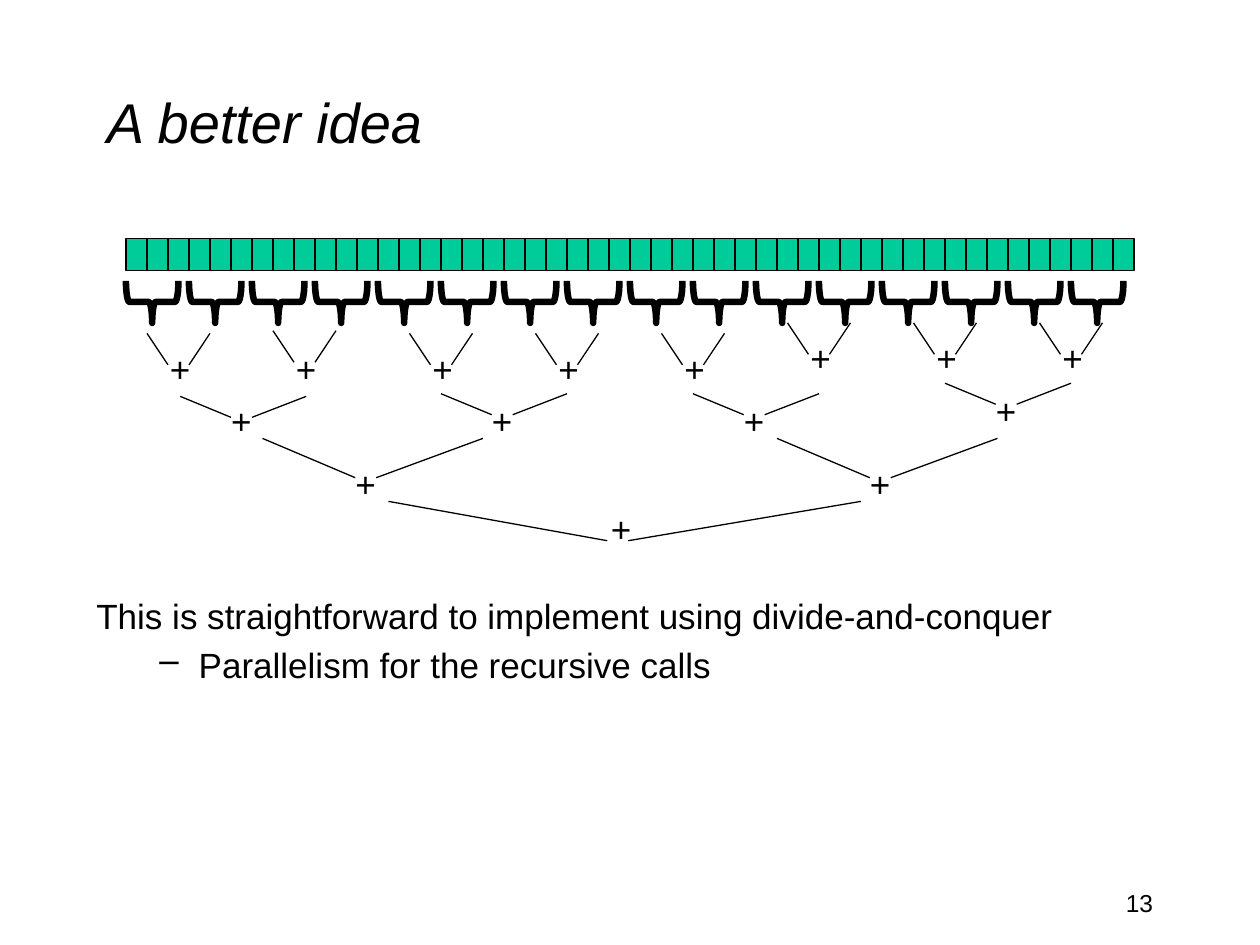
"""Build a slide showing a parallel sum as a tree of pairwise additions."""
import lxml.etree
import pptx
import pptx.dml.color
import pptx.enum.shapes
import pptx.enum.text
import pptx.oxml.ns
import pptx.util

Pt = pptx.util.Pt
Shape = pptx.enum.shapes.MSO_SHAPE
Align = pptx.enum.text.PP_ALIGN
Anchor = pptx.enum.text.MSO_ANCHOR
qn = pptx.oxml.ns.qn


def paint(item, color):
    item.rgb = pptx.dml.color.RGBColor.from_string(color)


def write(left, top, width, height, text, size, wrap=True):
    frame = slide.shapes.add_textbox(Pt(left), Pt(top), Pt(width), Pt(height)).text_frame
    frame.word_wrap = wrap
    frame.text = text
    for para in frame.paragraphs:
        font = para.runs[0].font
        font.name, font.size = "Arial", Pt(size)
        paint(font.color, "000000")
    return frame


deck = pptx.Presentation()
deck.slide_width, deck.slide_height = Pt(720), Pt(540)
slide = deck.slides.add_slide(deck.slide_layouts[6])

title = write(54, 24, 612, 90, "A better idea", 32)
title.vertical_anchor = Anchor.MIDDLE
title.paragraphs[0].runs[0].font.italic = True

body = write(48, 336, 612, 66,
             "This is straightforward to implement using divide-and-conquer\n"
             "Parallelism for the recursive calls", 20)
for para, margin, indent in zip(body.paragraphs, (27, 58.5), (-27, -22.5)):
    para.space_before = Pt(4)
    props = para._p.get_or_add_pPr()
    props.set("marL", str(Pt(margin)))
    props.set("indent", str(Pt(indent)))
point = body.paragraphs[1]
point.level = 1
lxml.etree.SubElement(point._p.pPr, qn("a:buChar")).set("char", "–")

number = write(516, 504, 150, 36, "13", 14)
number.paragraphs[0].alignment = Align.RIGHT

for i in range(48):
    cell = slide.shapes.add_shape(Shape.RECTANGLE, Pt(72 + 12 * i), Pt(136.5), Pt(12), Pt(18))
    cell.shadow.inherit = False
    cell.fill.solid()
    paint(cell.fill.fore_color, "00CC99")
    paint(cell.line.color, "000000")
    cell.line.width = Pt(0.75)

for i in range(16):
    brace = slide.shapes.add_shape(Shape.LEFT_BRACE, Pt(75 + 36 * i), Pt(157.5), Pt(24), Pt(30))
    brace.rotation = 270
    brace.shadow.inherit = False
    brace.fill.background()
    paint(brace.line.color, "000000")
    brace.line.width = Pt(3.75)

# span, reach, drop, shift of the plus, then left, top and plus top of each fork
levels = [
    (36, 12, 18, 6, [(84, 190.5, 195), (156, 189, 195), (234, 190.5, 195),
                     (306, 190.5, 195), (378, 190.5, 195), (450, 184.5, 189),
                     (522, 184.5, 189), (594, 184.5, 189)]),
    (72, 29, 12, 22, [(103, 226.5, 225), (252, 225, 225),
                      (396, 225, 225), (540, 219, 219)]),
    (126, 53, 22.5, 46, [(150, 250.5, 261), (444, 250.5, 261)]),
    (270, 125, 22.5, 120, [(222, 286.5, 286.5)]),
]
for span, reach, drop, shift, forks in levels:
    for left, top, plus in forks:
        for start, end in ((0, reach), (span, reach + 12)):
            branch = slide.shapes.add_connector(
                pptx.enum.shapes.MSO_CONNECTOR.STRAIGHT,
                Pt(left + start), Pt(top), Pt(left + end), Pt(top + drop))
            paint(branch.line.color, "000000")
            branch.line.width = Pt(0.75)
            lxml.etree.SubElement(branch._element.spPr, qn("a:effectLst"))
        write(left + shift, plus, 26, 31.5, "+", 20, wrap=False)

deck.save("out.pptx")
